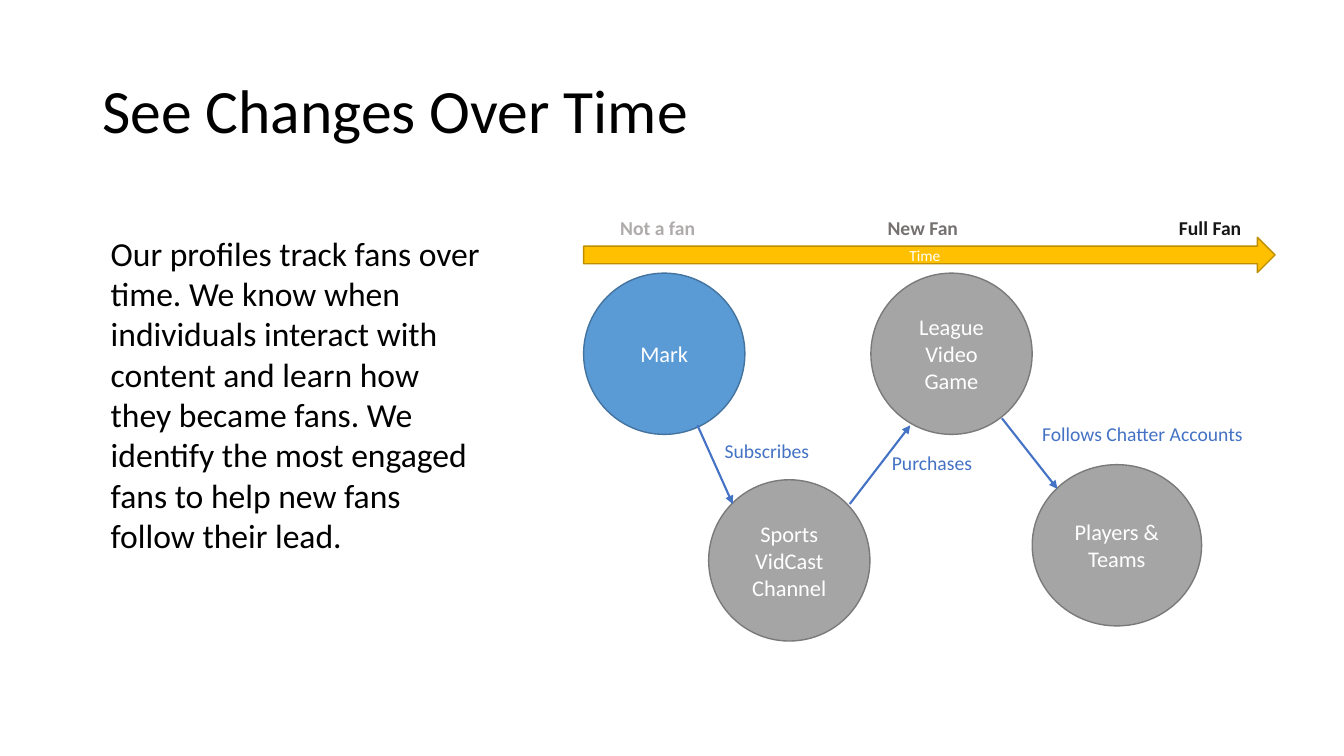
from dataclasses import dataclass

from lxml import etree
from pptx import Presentation
from pptx.dml.color import RGBColor
from pptx.enum.shapes import MSO_CONNECTOR, MSO_SHAPE
from pptx.enum.text import MSO_ANCHOR, PP_ALIGN
from pptx.oxml.ns import qn
from pptx.util import Pt

OVAL, ARROW = MSO_SHAPE.OVAL, MSO_SHAPE.RIGHT_ARROW
LINE = MSO_CONNECTOR.STRAIGHT
LEFT, MID = PP_ALIGN.LEFT, PP_ALIGN.CENTER
TOP, CENTRE = MSO_ANCHOR.TOP, MSO_ANCHOR.MIDDLE


@dataclass(frozen=True)
class Theme:
    font: str = "Calibri"
    black: str = "000000"
    white: str = "FFFFFF"
    gray: str = "A5A5A5"
    gray_edge: str = "7A7A7A"
    blue: str = "5B9BD5"
    blue_edge: str = "43739E"
    link: str = "4472C4"
    gold: str = "FFC000"
    gold_edge: str = "BD8E00"
    cold: str = "AFABAB"
    warm: str = "767171"
    hot: str = "181717"
    title: int = 44
    body: int = 24
    node: int = 16
    label: int = 14
    time: int = 11


@dataclass(frozen=True)
class Box:
    x: float
    y: float
    w: float
    h: float


@dataclass(frozen=True)
class Note:
    text: str
    box: Box
    size: int
    color: str
    bold: bool = False
    align: PP_ALIGN = LEFT
    anchor: MSO_ANCHOR = TOP
    space: float = 1.0


@dataclass(frozen=True)
class Solid:
    kind: MSO_SHAPE
    fill: str
    edge: str
    note: Note


@dataclass(frozen=True)
class Link:
    x1: float
    y1: float
    x2: float
    y2: float


T = Theme()
SIDE = 115.2  # circle diameter
ROW = 25.2  # height of labels and time arrow
START = 416.9  # left edge of the time line
HIGH = 195.1  # top of the upper circles


def rgb(code: str) -> RGBColor:
    return RGBColor.from_string(code)


def place(box: Box) -> tuple:
    return Pt(box.x), Pt(box.y), Pt(box.w), Pt(box.h)


def write(frame, note: Note) -> None:
    frame.word_wrap = True
    frame.vertical_anchor = note.anchor
    for i, line in enumerate(note.text.split("\n")):
        para = frame.paragraphs[0] if i == 0 else frame.add_paragraph()
        para.alignment = note.align
        para.line_spacing = note.space
        run = para.add_run()
        run.text = line
        run.font.name = T.font
        run.font.size = Pt(note.size)
        run.font.bold = note.bold
        run.font.color.rgb = rgb(note.color)


def draw_note(slide, note: Note) -> None:
    write(slide.shapes.add_textbox(*place(note.box)).text_frame, note)


def draw_solid(slide, item: Solid) -> None:
    shape = slide.shapes.add_shape(item.kind, *place(item.note.box))
    shape.shadow.inherit = False
    shape.fill.solid()
    shape.fill.fore_color.rgb = rgb(item.fill)
    shape.line.color.rgb = rgb(item.edge)
    shape.line.width = Pt(1)
    write(shape.text_frame, item.note)


def draw_link(slide, link: Link) -> None:
    line = slide.shapes.add_connector(
        LINE, Pt(link.x1), Pt(link.y1), Pt(link.x2), Pt(link.y2))
    line.line.color.rgb = rgb(T.link)
    line.line.width = Pt(1.5)
    tail = etree.SubElement(line.line._get_or_add_ln(), qn("a:tailEnd"))
    tail.set("type", "triangle")
    etree.SubElement(line._element.spPr, qn("a:effectLst"))


def node(text: str, x: float, y: float, w: float = SIDE,
         fill: str = T.gray, edge: str = T.gray_edge) -> Solid:
    note = Note(text, Box(x, y, w, SIDE), T.node, T.white,
                align=MID, anchor=CENTRE)
    return Solid(OVAL, fill, edge, note)


def act(text: str, x: float, y: float, w: float) -> Note:
    return Note(text, Box(x, y, w, ROW), T.label, T.link)


def stage(text: str, x: float, w: float, color: str) -> Note:
    return Note(text, Box(x, 150.5, w, ROW), T.label, color, True, MID)


# Content
HEAD = Note("See Changes Over Time", Box(66, 28.8, 828, 104.4),
            T.title, T.black, anchor=CENTRE, space=0.9)
BODY = Note("Our profiles track fans over time. We know when individuals "
            "interact with content and learn how they became fans. We "
            "identify the most engaged fans to help new fans follow "
            "their lead.", Box(72, 162.7, 279.4, 239.8), T.body, T.black)
NODES = [
    node("Sports\nVidCast Channel", 506.2, 342.7),
    node("League Video Game", 622.1, HIGH),
    node("Players & Teams", 737.3, 331.9, 121),
    node("Mark", START, HIGH, fill=T.blue, edge=T.blue_edge),
]
LINKS = [
    Link(498.2, 303.8, 523.4, 360),
    Link(607, 360, 650.2, 303.8),
    Link(715.7, 298.8, 755.3, 349.2),
]
ACTS = [
    act("Subscribes", 510.5, 309.6, 83.5),
    act("Purchases", 630, 318.2, 83.5),
    act("Follows Chatter Accounts", 737.3, 298.1, 167.8),
]
TIME = Solid(ARROW, T.gold, T.gold_edge,
             Note("Time", Box(START, 169.5, 493.9, ROW), T.time, T.white,
                  align=MID, anchor=CENTRE))
STAGES = [
    stage("Not a fan", 432.7, 74.2, T.cold),
    stage("New Fan", 622.1, 74.2, T.warm),
    stage("Full Fan", 823.7, 81.4, T.hot),
]

deck = Presentation()
deck.slide_width, deck.slide_height = Pt(960), Pt(540)
slide = deck.slides.add_slide(deck.slide_layouts[6])

# Title
draw_note(slide, HEAD)

# Fan journey
for item in NODES:
    draw_solid(slide, item)
for link, label in zip(LINKS, ACTS):
    draw_link(slide, link)
    draw_note(slide, label)

# Time line
draw_solid(slide, TIME)
for label in STAGES:
    draw_note(slide, label)

# Explanation
draw_note(slide, BODY)

deck.save("out.pptx")
